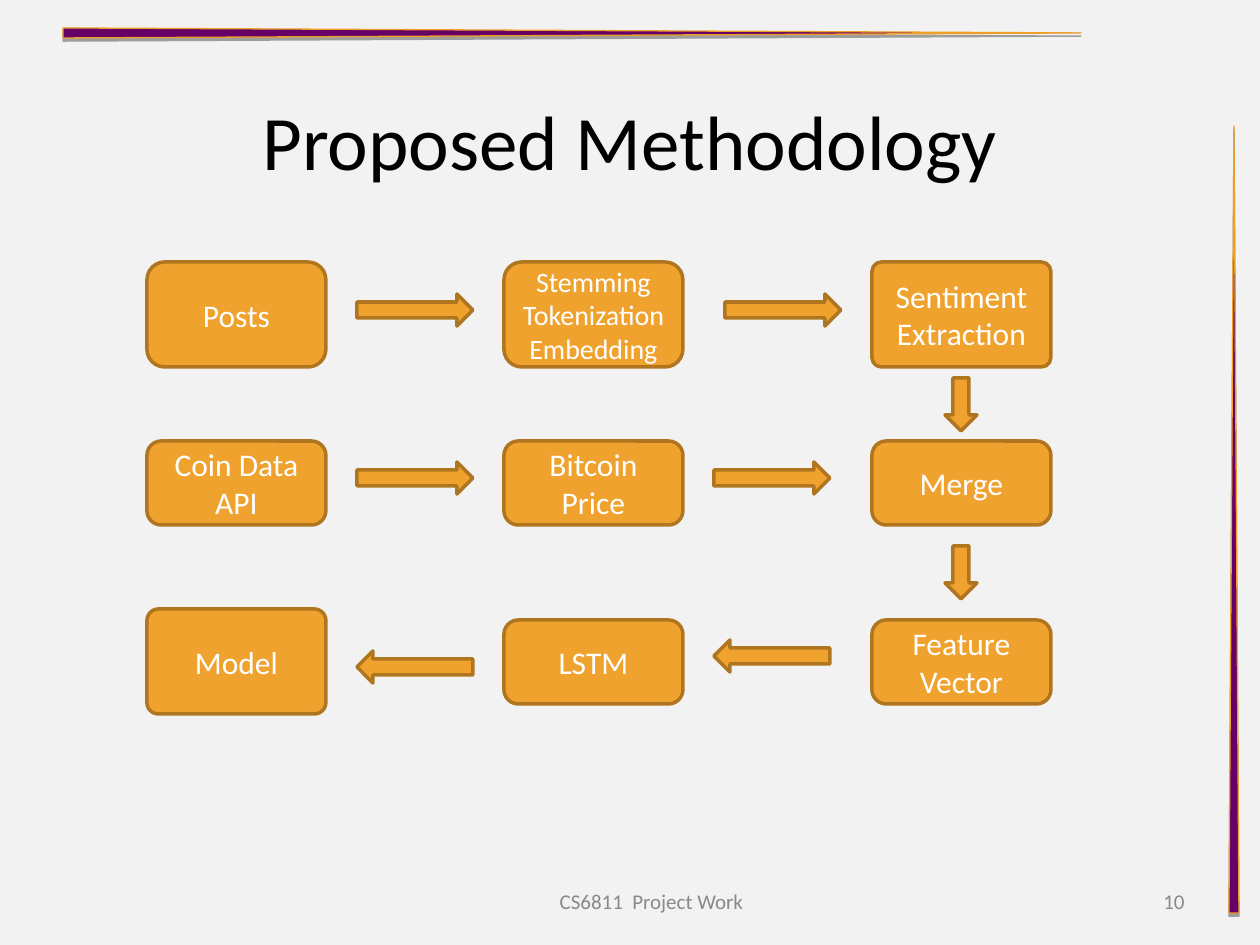
from lxml import etree
from pptx import Presentation
from pptx.dml.color import RGBColor
from pptx.enum.shapes import MSO_SHAPE
from pptx.enum.text import MSO_ANCHOR, PP_ALIGN
from pptx.oxml.ns import qn
from pptx.util import Emu, Pt

ROUNDED = MSO_SHAPE.ROUNDED_RECTANGLE
TAPER = MSO_SHAPE.FLOWCHART_EXTRACT
RIGHT, LEFT, DOWN = MSO_SHAPE.RIGHT_ARROW, MSO_SHAPE.LEFT_ARROW, MSO_SHAPE.DOWN_ARROW
MIDDLE = MSO_ANCHOR.MIDDLE
CENTER, ALIGN_RIGHT = PP_ALIGN.CENTER, PP_ALIGN.RIGHT

EMU_PER_PX = 914400 // 126
COLORS = {
    "background": "F2F2F2", "title": "000000", "footer": "898989",
    "step": "F0A22E", "step_edge": "B0761F", "step_text": "FFFFFF",
    "taper": "660066", "taper_edge": "EF9F28", "shadow": "000000",
}
FRAME_FORMAT = {"word_wrap": True, "vertical_anchor": MIDDLE}

COLUMNS = (147, 504, 872)
STEP_WIDTH = 179
TALL, SHORT = 105, 84
STEPS = [
    (0, 262, TALL, 0.17, 18, ["Posts"]),
    (1, 262, TALL, 0.17, 16, ["Stemming", "Tokenization Embedding"]),
    (2, 262, TALL, 0.09, 18, ["Sentiment Extraction"]),
    (0, 441, SHORT, 0.17, 18, ["Coin Data API"]),
    (1, 441, SHORT, 0.17, 18, ["Bitcoin Price"]),
    (2, 441, SHORT, 0.17, 18, ["Merge"]),
    (2, 620, SHORT, 0.17, 18, ["Feature Vector"]),
    (1, 620, SHORT, 0.17, 18, ["LSTM"]),
    (0, 609, TALL, 0.11, 18, ["Model"]),
]
ARROW_LENGTH, DROP_LENGTH, ARROW_BREADTH = 116, 53, 32
ARROWS = [
    (RIGHT, 357, 294), (RIGHT, 725, 294),
    (RIGHT, 357, 462), (RIGHT, 714, 462),
    (DOWN, 945, 378), (DOWN, 945, 546),
    (LEFT, 714, 640), (LEFT, 357, 651),
]


def px(*lengths):
    return [Emu(length * EMU_PER_PX) for length in lengths]


def color(role):
    return RGBColor.from_string(COLORS[role])


def write_text(frame, paragraphs, size, role, align):
    for attribute, value in FRAME_FORMAT.items():
        setattr(frame, attribute, value)
    font_format = {"name": "Calibri", "size": Pt(size)}
    for index, words in enumerate(paragraphs):
        paragraph = frame.add_paragraph() if index else frame.paragraphs[0]
        paragraph.alignment = align
        run = paragraph.add_run()
        run.text = words
        for attribute, value in font_format.items():
            setattr(run.font, attribute, value)
        run.font.color.rgb = color(role)


def add_label(slide, box, words, size, role, align):
    label = slide.shapes.add_textbox(*px(*box))
    write_text(label.text_frame, [words], size, role, align)


def add_filled(slide, kind, box, fill, edge, edge_width):
    shape = slide.shapes.add_shape(kind, *px(*box))
    shape.shadow.inherit = False
    shape.fill.solid()
    shape.fill.fore_color.rgb = color(fill)
    shape.line.color.rgb = color(edge)
    shape.line.width = Pt(edge_width)
    return shape


def add_taper(slide, box, rotation):
    taper = add_filled(slide, TAPER, box, "taper", "taper_edge", 0.75)
    taper.rotation = rotation
    effects = taper._element.spPr.find(qn("a:effectLst"))
    shadow = etree.SubElement(effects, qn("a:outerShdw"), blurRad="0",
                              dist=str(Pt(1.8)), dir="5400000", rotWithShape="0")
    tint = etree.SubElement(shadow, qn("a:srgbClr"), val=COLORS["shadow"])
    etree.SubElement(tint, qn("a:alpha"), val="35000")


def add_step(slide, column, top, height, rounding, size, paragraphs):
    box = (COLUMNS[column], top, STEP_WIDTH, height)
    step = add_filled(slide, ROUNDED, box, "step", "step_edge", 2)
    step.adjustments[0] = rounding
    write_text(step.text_frame, paragraphs, size, "step_text", CENTER)


def add_arrow(slide, direction, left, top):
    extent = (ARROW_BREADTH, DROP_LENGTH) if direction == DOWN else (ARROW_LENGTH, ARROW_BREADTH)
    add_filled(slide, direction, (left, top, *extent), "step", "step_edge", 2)


def main():
    deck = Presentation()
    deck.slide_width, deck.slide_height = px(1260, 945)
    slide = deck.slides.add_slide(deck.slide_layouts[6])
    slide.background.fill.solid()
    slide.background.fill.fore_color.rgb = color("background")

    add_taper(slide, (1229, 126, 10, 787), 0)
    add_taper(slide, (567, -476, 10, 1018), 90)
    add_label(slide, (63, 84, 1134, 111), "Proposed Methodology", 44, "title", CENTER)
    add_label(slide, (431, 876, 441, 50), "CS6811  Project Work", 12, "footer", CENTER)
    add_label(slide, (903, 876, 294, 50), "10", 12, "footer", ALIGN_RIGHT)
    for step in STEPS:
        add_step(slide, *step)
    for arrow in ARROWS:
        add_arrow(slide, *arrow)
    deck.save("out.pptx")


if __name__ == "__main__":
    main()
